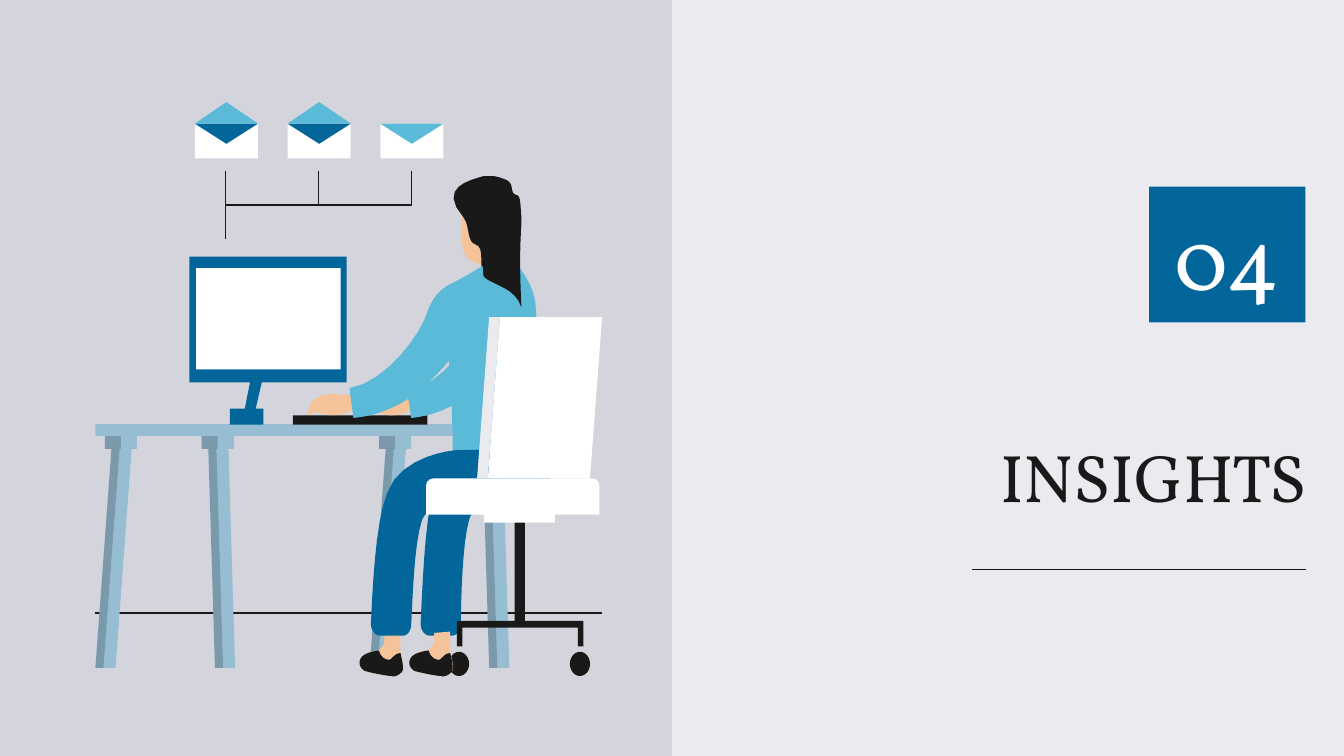
from dataclasses import dataclass

from lxml.etree import SubElement
from pptx import Presentation
from pptx.dml.color import RGBColor
from pptx.enum.shapes import MSO_CONNECTOR as Connector, MSO_SHAPE as Preset
from pptx.enum.text import MSO_ANCHOR as Anchor, MSO_AUTO_SIZE as AutoSize, PP_ALIGN as Align
from pptx.oxml.ns import qn
from pptx.util import Pt

COLORS = {
    "paper": "EAEAEF", "panel": "D4D4DD", "ink": "191919", "blue": "02669B",
    "sky": "5BBAD8", "wood": "96BDD1", "skin": "F5C39A", "white": "FFFFFF",
    "shade": "000000",
}
FONT = "Vollkorn"
GRID = 500
CURVE_STEPS = 8

FAR_HAND = [(305, 294), (305, 294, 303, 295, 300, 296), (299, 296), (296, 296, 293, 295, 290, 295),
            (282, 295, 278, 300, 276, 303), (277, 304), (277, 304, 274, 308, 275, 309),
            (277, 309, 277, 308, 279, 307), (281, 307, 286, 309, 291, 309),
            (302, 309, 303, 305, 306, 305), (309, 305, 305, 294, 305, 294)]
FAR_ARM = [(391, 210), (391, 210, 379, 218, 373, 221), (366, 224, 358, 228, 355, 241),
           (351, 254, 328, 287, 303, 291), (306, 311), (306, 311, 325, 310, 343, 298),
           (361, 285, 373, 267, 373, 267), (373, 267, 387, 242, 390, 231),
           (393, 220, 391, 210, 391, 210)]
NEAR_HAND = [(262, 292), (262, 292, 260, 293, 258, 294), (253, 294, 249, 293, 246, 293),
             (237, 294, 232, 298, 230, 302), (231, 303), (231, 303, 228, 307, 229, 309),
             (231, 309, 232, 307, 234, 307), (236, 306, 241, 309, 247, 309),
             (259, 309, 260, 305, 264, 305), (267, 305, 263, 293, 262, 292)]
NEAR_ARM = [(359, 198), (359, 198, 346, 206, 338, 210), (331, 213, 323, 218, 318, 232),
            (314, 247, 288, 284, 260, 289), (263, 311), (263, 311, 285, 310, 305, 296),
            (325, 282, 339, 262, 339, 262), (339, 262, 355, 234, 358, 221),
            (361, 209, 359, 198, 359, 198)]
TORSO = [(382, 194), (355, 202), (333, 254), (333, 254, 337, 299, 337, 340),
         (337, 340, 350, 352, 375, 352), (400, 352, 410, 334, 410, 334),
         (410, 334, 399, 254, 399, 232), (399, 210, 382, 194, 382, 194)]
FACE = [(344, 154), (344, 154, 341, 184, 347, 191), (353, 199, 365, 193, 365, 209),
        (382, 209), (382, 154)]
HAIR = [(365, 131), (363, 131, 362, 131, 360, 131), (350, 134, 325, 139, 345, 162),
        (350, 169, 347, 180, 354, 182), (361, 184, 356, 199, 360, 206),
        (366, 212, 384, 214, 388, 229), (388, 229, 387, 212, 387, 195),
        (387, 177, 388, 169, 388, 162), (387, 155, 388, 145, 384, 145),
        (379, 144, 383, 137, 377, 134), (372, 132, 369, 131, 365, 131)]
NEAR_LEG = [(386, 334), (383, 334, 339, 335, 339, 335), (339, 335, 298, 338, 288, 367),
            (279, 389, 277, 443, 276, 464), (276, 469, 279, 473, 283, 473), (300, 473),
            (303, 473, 306, 469, 306, 465), (307, 447, 308, 405, 314, 387),
            (317, 379, 325, 377, 334, 377), (342, 377, 351, 378, 359, 378),
            (371, 378, 383, 376, 389, 364), (402, 335, 389, 334, 386, 334)]
FAR_LEG = [(405, 334), (403, 334, 368, 335, 368, 335), (368, 335, 330, 338, 322, 367),
           (316, 389, 314, 442, 313, 464), (313, 469, 316, 473, 320, 473), (336, 473),
           (340, 473, 343, 469, 343, 464), (343, 446, 344, 405, 349, 387),
           (351, 379, 357, 377, 364, 377), (371, 377, 378, 378, 384, 378),
           (394, 378, 403, 376, 407, 364), (417, 335, 408, 334, 405, 334)]
SOLE = [(282, 484, 272, 485, 269, 489), (266, 493, 268, 497, 271, 499),
        (273, 500, 288, 503, 291, 503), (294, 504, 297, 502, 299, 500)]
FOOT = [(298, 470), (286, 471), (286, 478), (286, 480, 282, 484, 282, 484), *SOLE,
        (302, 498, 298, 487, 298, 483)]
SHOE = [(282, 484), *SOLE, (301, 498, 299, 491, 298, 486),
        (293, 486, 292, 491, 289, 491), (283, 490, 282, 484, 282, 484)]
FAR_FOOT_SHIFT = 37


@dataclass(frozen=True)
class Box:
    left: float
    top: float
    width: float
    height: float

    def at(self, x, y):
        unit = self.width / GRID
        return Pt(self.left + x * unit), Pt(self.top + y * unit)

    def size(self, width, height):
        unit = self.width / GRID
        return Pt(width * unit), Pt(height * unit)


def color(name):
    return RGBColor.from_string(COLORS[name])


def paint(shape, name, opacity=100):
    shape.shadow.inherit = False
    shape.line.fill.background()
    shape.fill.solid()
    shape.fill.fore_color.rgb = color(name)
    if opacity < 100:
        tint = shape._element.spPr.find(qn("a:solidFill"))[0]
        SubElement(tint, qn("a:alpha")).set("val", str(opacity * 1000))


def add_block(page, box, x, y, width, height, name, opacity=100, preset=Preset.RECTANGLE):
    shape = page.shapes.add_shape(preset, *box.at(x, y), *box.size(width, height))
    paint(shape, name, opacity)
    return shape


def add_rule(page, box, x1, y1, x2, y2):
    rule = page.shapes.add_connector(Connector.STRAIGHT, *box.at(x1, y1), *box.at(x2, y2))
    rule.line.color.rgb = color("ink")
    rule.line.width = Pt(0.75)
    SubElement(rule._element.spPr, qn("a:effectLst"))


def flatten(outline):
    points = [outline[0]]
    for segment in outline[1:]:
        if len(segment) == 2:
            points.append(segment)
            continue
        knots = [points[-1], segment[:2], segment[2:4], segment[4:]]
        for step in range(1, CURVE_STEPS + 1):
            t = step / CURVE_STEPS
            weights = ((1 - t) ** 3, 3 * t * (1 - t) ** 2, 3 * t * t * (1 - t), t ** 3)
            points.append(tuple(sum(w * k[axis] for w, k in zip(weights, knots)) for axis in (0, 1)))
    return points


def add_outline(page, box, outline, name, opacity=100, shift=0):
    points = [box.at(x + shift, y) for x, y in flatten(outline)]
    builder = page.shapes.build_freeform(*points[0])
    builder.add_line_segments(points[1:], close=True)
    paint(builder.convert_to_shape(), name, opacity)


def draw_mail(page, box):
    for x, is_open in ((145, True), (214, True), (283, False)):
        middle, right = x + 23.5, x + 47
        add_block(page, box, x, 92, 47, 26, "white")
        add_outline(page, box, [(x, 92), (middle, 107), (right, 92)], "blue" if is_open else "sky")
        if is_open:
            add_outline(page, box, [(middle, 76), (x, 92), (right, 92)], "sky")
    for x, bottom in ((168, 178), (237, 153), (306, 153)):
        add_rule(page, box, x, 127, x, bottom)
    add_rule(page, box, 168, 152.5, 306, 152.5)


def draw_desk(page, box):
    add_rule(page, box, 71, 456, 448, 456)
    for clamp, lean in ((354, 5), (282, -12), (150, 5), (78, -12)):
        top, foot = clamp + 5, clamp + 5 + lean
        for width, leg_width, name, opacity in ((24, 15, "wood", 100), (12, 6, "shade", 18)):
            add_block(page, box, clamp, 324, width, 10, name, opacity)
            leg = [(top, 334), (foot, 497), (foot + leg_width, 497), (top + leg_width, 334)]
            add_outline(page, box, leg, name, opacity)
    add_block(page, box, 71, 315.5, 273, 9, "wood")


def draw_computer(page, box):
    add_outline(page, box, [(188, 275), (181, 310), (189, 310), (197, 275)], "blue")
    add_block(page, box, 171, 304, 25, 12, "blue")
    add_block(page, box, 141, 191, 117, 93.5, "blue")
    add_block(page, box, 146, 199.5, 107.5, 75.5, "white")
    add_block(page, box, 218, 309, 100, 7, "ink")


def draw_person(page, box):
    for outline, name in (
        (FAR_HAND, "skin"), (FAR_ARM, "sky"), (NEAR_HAND, "skin"), (FOOT, "skin"),
        (TORSO, "sky"), (FACE, "skin"), (HAIR, "ink"), (NEAR_ARM, "sky"),
        (NEAR_LEG, "blue"), (FAR_LEG, "blue"),
    ):
        add_outline(page, box, outline, name)


def draw_chair(page, box):
    add_block(page, box, 383, 383, 7.5, 81, "ink")
    add_outline(page, box, [(372, 236), (363, 356), (439, 356), (448, 236)], "white")
    add_outline(page, box, [(364, 236), (355, 356), (363, 356), (372, 236)], "paper")
    seat = add_block(page, box, 317, 356, 129, 27, "white", preset=Preset.ROUND_2_SAME_RECTANGLE)
    seat.adjustments[0] = 0.2
    add_block(page, box, 360, 376, 53, 13, "white")
    base = [(340, 462), (340, 481), (344, 481), (344, 467),
            (430, 467), (430, 481), (434, 481), (434, 462)]
    add_outline(page, box, base, "ink")
    for x in (334, 424):
        add_block(page, box, x, 485, 15, 18, "ink", preset=Preset.OVAL)


def draw_shoes(page, box):
    add_outline(page, box, SHOE, "ink")
    add_outline(page, box, FOOT, "skin", shift=FAR_FOOT_SHIFT)
    add_outline(page, box, SHOE, "ink", shift=FAR_FOOT_SHIFT)


def draw_illustration(page, box):
    panel = page.shapes.add_shape(Preset.RECTANGLE, Pt(box.left), Pt(box.top), Pt(box.width), Pt(box.height))
    paint(panel, "panel")
    for draw in (draw_mail, draw_desk, draw_computer, draw_person, draw_chair, draw_shoes):
        draw(page, box)


def set_heading(holder, text, size, name, align, anchor, top_margin=7.2):
    frame = holder.text_frame
    frame.text = text
    frame.auto_size = AutoSize.NONE
    frame.word_wrap = True
    frame.vertical_anchor = anchor
    frame.margin_left = frame.margin_right = frame.margin_bottom = Pt(7.2)
    frame.margin_top = Pt(top_margin)
    para = frame.paragraphs[0]
    para.alignment = align
    para.space_before = Pt(0)
    font = para.runs[0].font
    font.name, font.size, font.bold = FONT, Pt(size), False
    font.color.rgb = color(name)


def place(holder, box, x, y, width, height):
    holder.left, holder.top = Pt(box.left + x), Pt(box.top + y)
    holder.width, holder.height = Pt(width), Pt(height)


def draw_heading(page, box):
    title, number = page.placeholders[0], page.placeholders[1]
    place(title, box, 24.5, 180.7, 322.5, 123.8)
    set_heading(title, "INSIGHTS", 36, "ink", Align.RIGHT, Anchor.TOP, top_margin=52.5)
    place(number, box, 255.6, 100, 83.8, 72.7)
    paint(number, "blue")
    set_heading(number, "04", 48, "white", Align.CENTER, Anchor.MIDDLE)
    add_rule(page, box, 223, 424, 472, 424)


def main():
    deck = Presentation()
    deck.slide_width, deck.slide_height = Pt(720), Pt(405)
    page = deck.slides.add_slide(deck.slide_layouts[2])
    page.background.fill.solid()
    page.background.fill.fore_color.rgb = color("paper")
    draw_heading(page, Box(360, 0, 360, 405))
    draw_illustration(page, Box(0, 0, 360, 405))
    deck.save("out.pptx")


if __name__ == "__main__":
    main()
